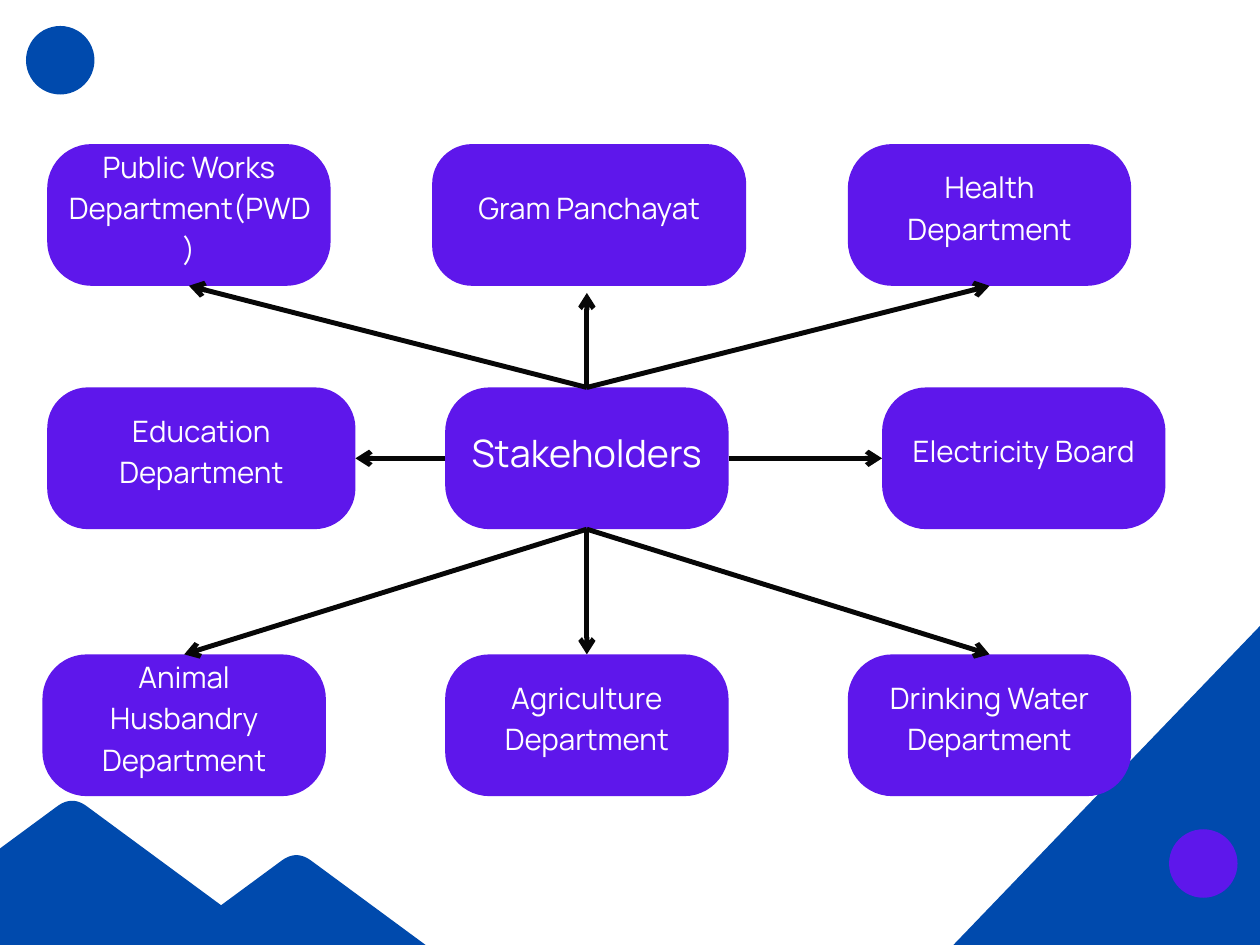
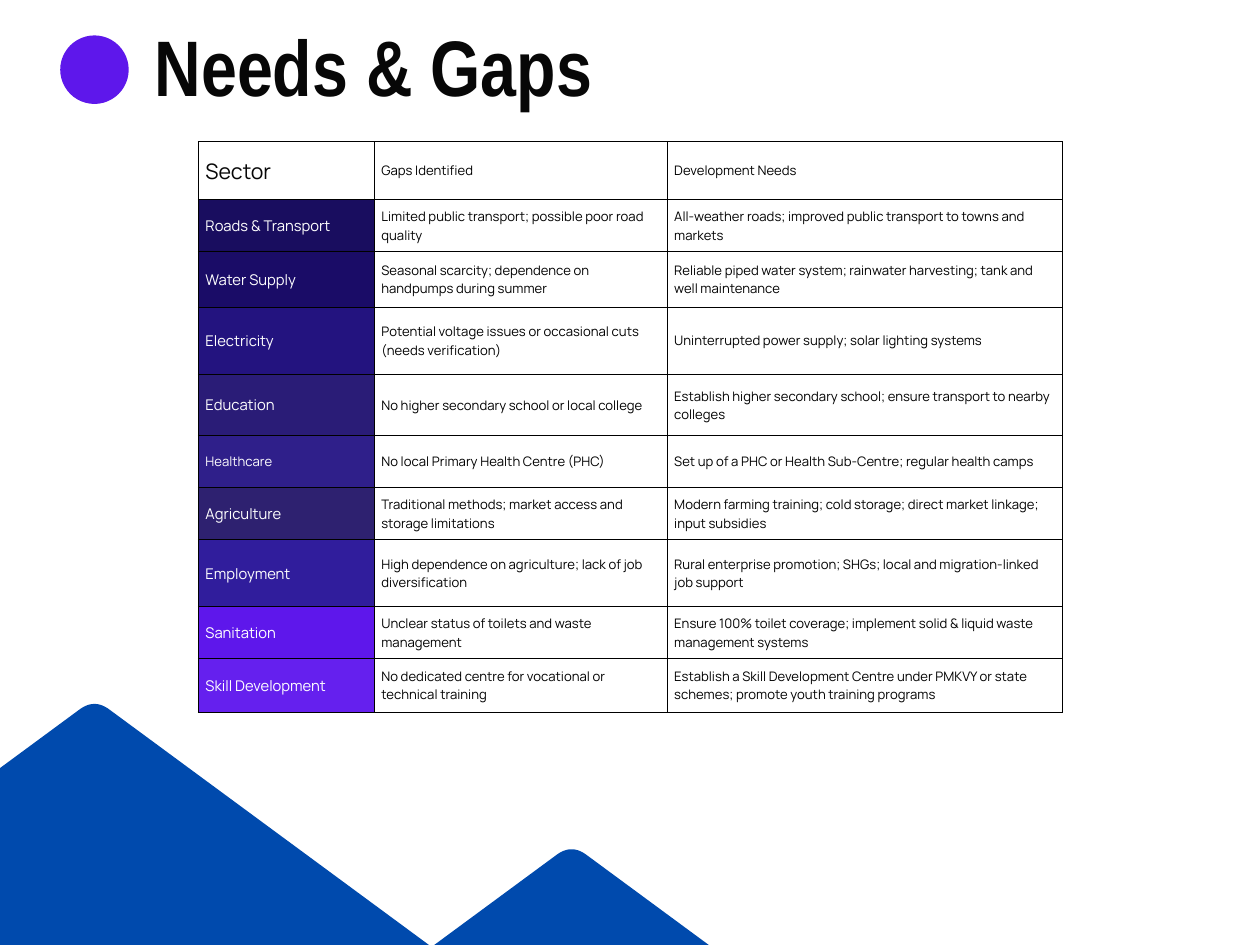
from lxml.etree import SubElement
from pptx import Presentation
from pptx.dml.color import RGBColor
from pptx.enum.shapes import MSO_CONNECTOR, MSO_SHAPE
from pptx.enum.text import MSO_ANCHOR, PP_ALIGN
from pptx.oxml.ns import qn
from pptx.util import Inches, Pt

COLORS = {
    "blue": "004AAD",
    "violet": "5E17EB",
    "ink": "070707",
    "black": "000000",
    "white": "FFFFFF",
}
BODY_FONT = "Manrope"
TITLE_FONT = "Arial Narrow"
INSET = 0.06
DOT_SIZE = 0.58
BOX_HEIGHT = 1.2
TEXT_LIFT = 0.17
TOP, LEFT, BOTTOM, RIGHT = range(4)

HUB = ("Stakeholders", 3.77, 3.28, 2.4)
DEPARTMENTS = [
    ("Public Works Department(PWD)", 0.4, 1.22, 2.4, TOP, BOTTOM),
    ("Agriculture Department", 3.77, 5.54, 2.4, BOTTOM, TOP),
    ("Drinking Water Department", 7.18, 5.54, 2.4, BOTTOM, TOP),
    ("Animal Husbandry Department", 0.36, 5.54, 2.4, BOTTOM, TOP),
    ("Education Department", 0.4, 3.28, 2.61, LEFT, RIGHT),
    ("Gram Panchayat", 3.66, 1.22, 2.66, TOP, None),
    ("Electricity Board", 7.47, 3.28, 2.4, RIGHT, LEFT),
    ("Health Department", 7.18, 1.22, 2.4, TOP, BOTTOM),
]
GRAM_ARROW_TIP = (4.97, 2.48)

NEEDS_TITLE = "Needs & Gaps"
HEADINGS = ("Sector", "Gaps Identified", "Development Needs")
SECTORS = [
    ("Roads & Transport", "Limited public transport; possible poor road quality",
     "All-weather roads; improved public transport to towns and markets", "190D5F", 0.44),
    ("Water Supply", "Seasonal scarcity; dependence on handpumps during summer",
     "Reliable piped water system; rainwater harvesting; tank and well maintenance", "1A0C67", 0.47),
    ("Electricity", "Potential voltage issues or occasional cuts (needs verification)",
     "Uninterrupted power supply; solar lighting systems", "23137F", 0.57),
    ("Education", "No higher secondary school or local college",
     "Establish higher secondary school; ensure transport to nearby colleges", "2A1C77", 0.52),
    ("Healthcare", "No local Primary Health Centre (PHC)",
     "Set up of a PHC or Health Sub-Centre; regular health camps", "2F1F8A", 0.44),
    ("Agriculture", "Traditional methods; market access and storage limitations",
     "Modern farming training; cold storage; direct market linkage; input subsidies", "2E2170", 0.44),
    ("Employment", "High dependence on agriculture; lack of job diversification",
     "Rural enterprise promotion; SHGs; local and migration-linked job support", "301D9C", 0.57),
    ("Sanitation", "Unclear status of toilets and waste management",
     "Ensure 100% toilet coverage; implement solid & liquid waste management systems",
     COLORS["violet"], 0.44),
    ("Skill Development", "No dedicated centre for vocational or technical training",
     "Establish a Skill Development Centre under PMKVY or state schemes; "
     "promote youth training programs", "6520EE", 0.45),
]
COLUMN_WIDTHS = (1.49, 2.48, 3.35)
HEADING_HEIGHT = 0.49


def rgb(color):
    return RGBColor.from_string(color)


def write(frame, text, size, color, align=PP_ALIGN.LEFT, font=BODY_FONT, leading=1.4, bold=False):
    paragraph = frame.paragraphs[0]
    paragraph.alignment = align
    paragraph.line_spacing = Pt(round(size * leading, 1))
    run = paragraph.add_run()
    run.text = text
    run.font.name = font
    run.font.size = Pt(size)
    run.font.bold = bold
    run.font.color.rgb = rgb(color)


def paint(shape, color):
    shape.shadow.inherit = False
    shape.fill.solid()
    shape.fill.fore_color.rgb = rgb(color)
    shape.line.fill.background()


def add_dot(slide, left, top, color):
    dot = slide.shapes.add_shape(
        MSO_SHAPE.OVAL, Inches(left), Inches(top), Inches(DOT_SIZE), Inches(DOT_SIZE))
    paint(dot, color)


def add_mountain(slide, left, top, width=9.48, height=3.53):
    middle, bottom = left + width / 2, top + height
    half_peak, peak_depth, foot = 0.13, 0.05, 0.1
    steps = [step / 8 for step in range(-8, 9)]
    summit = [(middle + half_peak * s, top + peak_depth * s * s) for s in steps]
    right = left + width
    base = [(right - 0.02, bottom - foot), (right, bottom - foot / 2), (right - 0.06, bottom),
            (left + 0.06, bottom), (left, bottom - foot / 2), (left + 0.02, bottom - foot)]
    outline = [(Inches(x), Inches(y)) for x, y in summit + base]
    builder = slide.shapes.build_freeform(*outline[0])
    builder.add_line_segments(outline[1:], close=True)
    paint(builder.convert_to_shape(), COLORS["blue"])


def add_box(slide, label, left, top, width, size):
    box = slide.shapes.add_shape(
        MSO_SHAPE.ROUNDED_RECTANGLE, Inches(left), Inches(top), Inches(width), Inches(BOX_HEIGHT))
    box.adjustments[0] = 0.9 / width / BOX_HEIGHT
    paint(box, COLORS["violet"])
    frame = box.text_frame
    frame.word_wrap = True
    frame.vertical_anchor = MSO_ANCHOR.MIDDLE
    frame.margin_left = frame.margin_right = frame.margin_top = Inches(INSET)
    frame.margin_bottom = Inches(INSET + TEXT_LIFT)
    write(frame, label, size, COLORS["white"], PP_ALIGN.CENTER)
    return box


def add_arrow(slide, hub, hub_side, department, department_side):
    tip_x, tip_y = (Inches(value) for value in GRAM_ARROW_TIP)
    arrow = slide.shapes.add_connector(MSO_CONNECTOR.STRAIGHT, tip_x, tip_y, tip_x, tip_y)
    arrow.begin_connect(hub, hub_side)
    if department_side is not None:
        arrow.end_connect(department, department_side)
    arrow.line.width = Pt(3)
    arrow.line.color.rgb = rgb(COLORS["ink"])
    SubElement(arrow.line._get_or_add_ln(), qn("a:tailEnd"), type="arrow")
    SubElement(arrow._element.spPr, qn("a:effectLst"))


def add_borders(cell):
    properties = cell._tc.get_or_add_tcPr()
    for side in ("lnL", "lnR", "lnT", "lnB"):
        border = SubElement(properties, qn(f"a:{side}"), w=str(Pt(0.67)))
        fill = SubElement(border, qn("a:solidFill"))
        SubElement(fill, qn("a:srgbClr"), val=COLORS["black"])


def fill_cell(cell, text, size, color, background=None):
    cell.vertical_anchor = MSO_ANCHOR.MIDDLE
    cell.margin_left = cell.margin_right = Inches(INSET)
    cell.margin_top = cell.margin_bottom = Inches(INSET)
    add_borders(cell)
    if background:
        cell.fill.solid()
        cell.fill.fore_color.rgb = rgb(background)
    else:
        cell.fill.background()
    write(cell.text_frame, text, size, color)


def build_stakeholders(deck):
    slide = deck.slides.add_slide(deck.slide_layouts[6])
    add_mountain(slide, 6.41, 4.87, 9.51, 4.94)
    add_dot(slide, 9.9, 7.02, COLORS["violet"])
    hub = add_box(slide, *HUB, 23)
    spokes = []
    for label, left, top, width, hub_side, department_side in DEPARTMENTS:
        department = add_box(slide, label, left, top, width, 18)
        spokes.append((hub_side, department, department_side))
    for spoke in spokes:
        add_arrow(slide, hub, *spoke)
    add_mountain(slide, -4.13, 6.78)
    add_mountain(slide, -2.23, 7.24)
    add_dot(slide, 0.22, 0.22, COLORS["blue"])


def build_needs(deck):
    slide = deck.slides.add_slide(deck.slide_layouts[5])
    title = slide.shapes.title
    title.left, title.top, title.width, title.height = (
        Inches(value) for value in (1.31, 0.28, 7.99, 0.71))
    frame = title.text_frame
    frame.margin_left = frame.margin_right = frame.margin_top = frame.margin_bottom = 0
    frame.vertical_anchor = MSO_ANCHOR.TOP
    write(frame, NEEDS_TITLE, 48, COLORS["ink"], font=TITLE_FONT, leading=1, bold=True)

    add_mountain(slide, -3.94, 5.96)
    add_dot(slide, 0.51, 0.3, COLORS["violet"])
    add_mountain(slide, 0.1, 7.19)

    heights = [HEADING_HEIGHT] + [sector[-1] for sector in SECTORS]
    table = slide.shapes.add_table(
        len(heights), len(COLUMN_WIDTHS), Inches(1.68), Inches(1.2),
        Inches(sum(COLUMN_WIDTHS)), Inches(sum(heights))).table
    table.first_row = table.horz_banding = False
    for column, width in zip(table.columns, COLUMN_WIDTHS):
        column.width = Inches(width)
    for row, height in zip(table.rows, heights):
        row.height = Inches(height)

    fill_cell(table.cell(0, 0), HEADINGS[0], 13, COLORS["ink"], COLORS["white"])
    for column, heading in enumerate(HEADINGS[1:], 1):
        fill_cell(table.cell(0, column), heading, 8, COLORS["black"])
    for row, (sector, gap, need, background, _) in enumerate(SECTORS, 1):
        sector_size = 8 if sector == "Healthcare" else 9
        fill_cell(table.cell(row, 0), sector, sector_size, COLORS["white"], background)
        fill_cell(table.cell(row, 1), gap, 8, COLORS["black"])
        fill_cell(table.cell(row, 2), need, 8, COLORS["black"])


def main():
    deck = Presentation()
    deck.slide_width, deck.slide_height = Inches(10.67), Inches(8)
    build_stakeholders(deck)
    build_needs(deck)
    deck.save("out.pptx")


if __name__ == "__main__":
    main()
